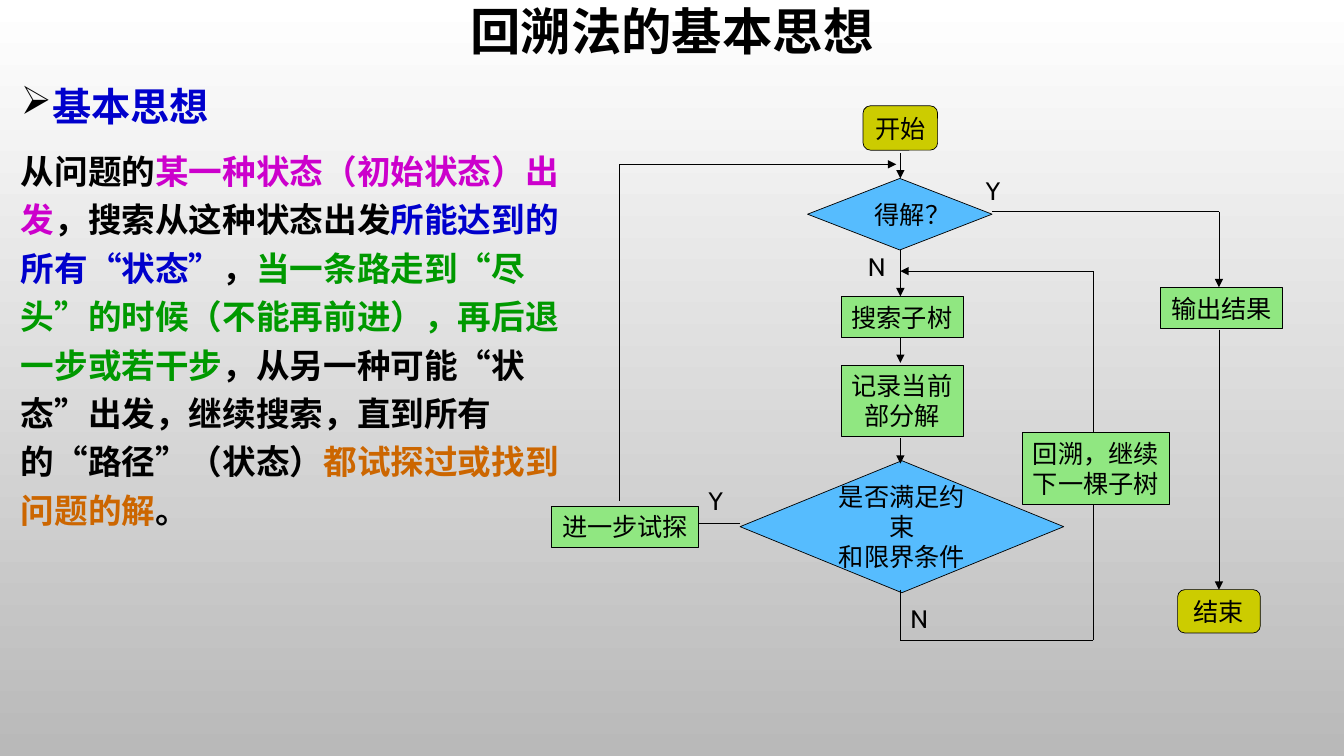
from lxml import etree
from pptx import Presentation
from pptx.dml.color import RGBColor
from pptx.enum.shapes import MSO_CONNECTOR, MSO_SHAPE
from pptx.enum.text import MSO_ANCHOR, PP_ALIGN
from pptx.oxml.ns import qn
from pptx.util import Inches, Pt

TITLE_ONLY = 5
CENTER, LEFT = PP_ALIGN.CENTER, PP_ALIGN.LEFT
MIDDLE, TOP = MSO_ANCHOR.MIDDLE, MSO_ANCHOR.TOP
STRAIGHT = MSO_CONNECTOR.STRAIGHT
PROCESS = MSO_SHAPE.FLOWCHART_PROCESS
DECISION = MSO_SHAPE.FLOWCHART_DECISION
ROUNDED = MSO_SHAPE.ROUNDED_RECTANGLE
TERMINAL = MSO_SHAPE.FLOWCHART_ALTERNATE_PROCESS

BLACK, BLUE, MAGENTA = "000000", "0000CC", "CC00CC"
GREEN, ORANGE = "009900", "CC6600"
OLIVE, LIME, SKY = "CCCC00", "90E781", "56BCFE"
MAIN_X, OUTPUT_X, RETURN_X, RETRY_X = 8.93, 12.09, 10.84, 6.14


def rgb(value):
    return RGBColor.from_string(value)


def add_run(p, text, size=18, font="Cabin", color=BLACK, bold=False):
    r = p.add_run()
    r.text = text
    r.font.size, r.font.name, r.font.bold = Pt(size), font, bold
    r.font.color.rgb = rgb(color)


class FlowSlide:
    def __init__(self, prs):
        self.slide = prs.slides.add_slide(prs.slide_layouts[TITLE_ONLY])
        self.line_width = Pt(0.5)

    def background(self, top, bottom):
        fill = self.slide.background.fill
        fill.gradient()
        fill.gradient_angle = 270
        for stop, position, color in zip(fill.gradient_stops, (0, 1), (top, bottom)):
            stop.position = position
            stop.color.rgb = rgb(color)

    def title(self, text, x, y, w, h):
        sp = self.slide.shapes.title
        sp.left, sp.top, sp.width, sp.height = map(Inches, (x, y, w, h))
        tf = sp.text_frame
        tf.vertical_anchor = MIDDLE
        p = tf.paragraphs[0]
        p.alignment, p.line_spacing = CENTER, 0.9
        add_run(p, text, size=36, bold=True)

    def body(self, heading, parts, x, y, w, h):
        """Add a bulleted heading and a paragraph of (text, colour) parts."""
        tf = self.slide.shapes.add_textbox(*map(Inches, (x, y, w, h))).text_frame
        tf.word_wrap = True
        p = tf.paragraphs[0]
        p.line_spacing = 1.2
        pPr = p._p.get_or_add_pPr()
        pPr.set("marL", str(Inches(0.25)))
        pPr.set("indent", str(-Inches(0.25)))
        bullet_color = etree.SubElement(pPr, qn("a:buClr"))
        etree.SubElement(bullet_color, qn("a:srgbClr"), val=BLACK)
        etree.SubElement(pPr, qn("a:buChar"), char="➢")
        add_run(p, heading, size=28, font="Times New Roman", color=BLUE, bold=True)
        p = tf.add_paragraph()
        p.line_spacing, p.space_before = 1.2, Pt(10)
        for text, color in parts:
            add_run(p, text, size=24, font="Times New Roman", color=color, bold=True)

    def node(self, kind, text, x, y, w, h, fill, wrap=False):
        sp = self.slide.shapes.add_shape(kind, *map(Inches, (x, y, w, h)))
        sp.shadow.inherit = False
        sp.fill.solid()
        sp.fill.fore_color.rgb = rgb(fill)
        sp.line.color.rgb = rgb(BLACK)
        sp.line.width = self.line_width
        self.add_lines(sp.text_frame, text, CENTER, MIDDLE, wrap)

    def label(self, text, x, y, w):
        sp = self.slide.shapes.add_textbox(*map(Inches, (x, y, w, 0.4)))
        self.add_lines(sp.text_frame, text, LEFT, TOP, True)

    def add_lines(self, tf, text, alignment, anchor, wrap):
        tf.word_wrap, tf.vertical_anchor = wrap, anchor
        for i, line in enumerate(text.split("\n")):
            p = tf.add_paragraph() if i else tf.paragraphs[0]
            p.alignment = alignment
            add_run(p, line)

    def route(self, *points):
        """Join the points with lines, the last one ending in an arrowhead."""
        for start, end in zip(points, points[1:]):
            sp = self.slide.shapes.add_connector(STRAIGHT, *map(Inches, start + end))
            sp.line.color.rgb = rgb(BLACK)
            sp.line.width = self.line_width
            if end == points[-1]:
                ln = sp._element.spPr.find(qn("a:ln"))
                etree.SubElement(ln, qn("a:tailEnd"), type="triangle")
            etree.SubElement(sp._element.spPr, qn("a:effectLst"))


def main():
    prs = Presentation()
    prs.slide_width, prs.slide_height = Inches(13.33), Inches(7.5)
    s = FlowSlide(prs)
    s.background("FFFFFF", "B9B9B9")
    s.title("回溯法的基本思想", 1, 0, 11.33, 0.67)
    s.body("基本思想", [
        ("从问题的", BLACK),
        ("某一种状态（初始状态）出发", MAGENTA),
        ("，搜索从这种状态出发", BLACK),
        ("所能达到的所有“状态”", BLUE),
        ("，", BLACK),
        ("当一条路走到“尽头”的时候（不能再前进），再后退一步或若干步", GREEN),
        ("，从另一种可能“状态”出发，继续搜索，直到所有的“路径”（状态）", BLACK),
        ("都试探过或找到问题的解", ORANGE),
        ("。", BLACK),
    ], 0.11, 0.67, 5.74, 6.06)

    s.node(DECISION, "得解？", 8.01, 1.77, 1.83, 0.71, SKY, wrap=True)
    s.node(DECISION, "是否满足约束\n和限界条件", 7.34, 4.57, 3.21, 1.31, SKY, wrap=True)

    for top, bottom in [(1.52, 1.77), (2.48, 2.94), (3.35, 3.6), (4.35, 4.6)]:
        s.route((MAIN_X, top), (MAIN_X, bottom))
    s.route((RETRY_X, 4.97), (RETRY_X, 1.63), (8.89, 1.63))
    s.route((9.84, 2.1), (OUTPUT_X, 2.1), (OUTPUT_X, 2.85))
    s.route((OUTPUT_X, 3.27), (OUTPUT_X, 5.85))
    s.route((7.34, 5.19), (6.68, 5.19))
    s.route((MAIN_X, 5.85), (MAIN_X, 6.35), (RETURN_X, 6.35),
            (RETURN_X, 2.69), (MAIN_X, 2.69))

    s.node(ROUNDED, "开始", 8.56, 1.05, 0.74, 0.44, OLIVE)
    s.node(TERMINAL, "结束", 11.68, 5.85, 0.82, 0.43, OLIVE)
    s.node(PROCESS, "输出结果", 11.51, 2.85, 1.21, 0.41, LIME)
    s.node(PROCESS, "搜索子树", 8.34, 2.94, 1.21, 0.41, LIME)
    s.node(PROCESS, "记录当前部分解", 8.34, 3.62, 1.21, 0.71, LIME, wrap=True)
    s.node(PROCESS, "进一步试探", 5.47, 5.02, 1.46, 0.41, LIME)
    s.node(PROCESS, "回溯，继续\n下一棵子树", 10.14, 4.29, 1.46, 0.71, LIME)

    for text, x, y, w in [("Y", 9.68, 1.69, 0.33), ("Y", 6.93, 4.77, 0.33),
                          ("N", 8.51, 2.44, 0.42), ("N", MAIN_X, 5.94, 0.42)]:
        s.label(text, x, y, w)
    prs.save("out.pptx")


if __name__ == "__main__":
    main()
